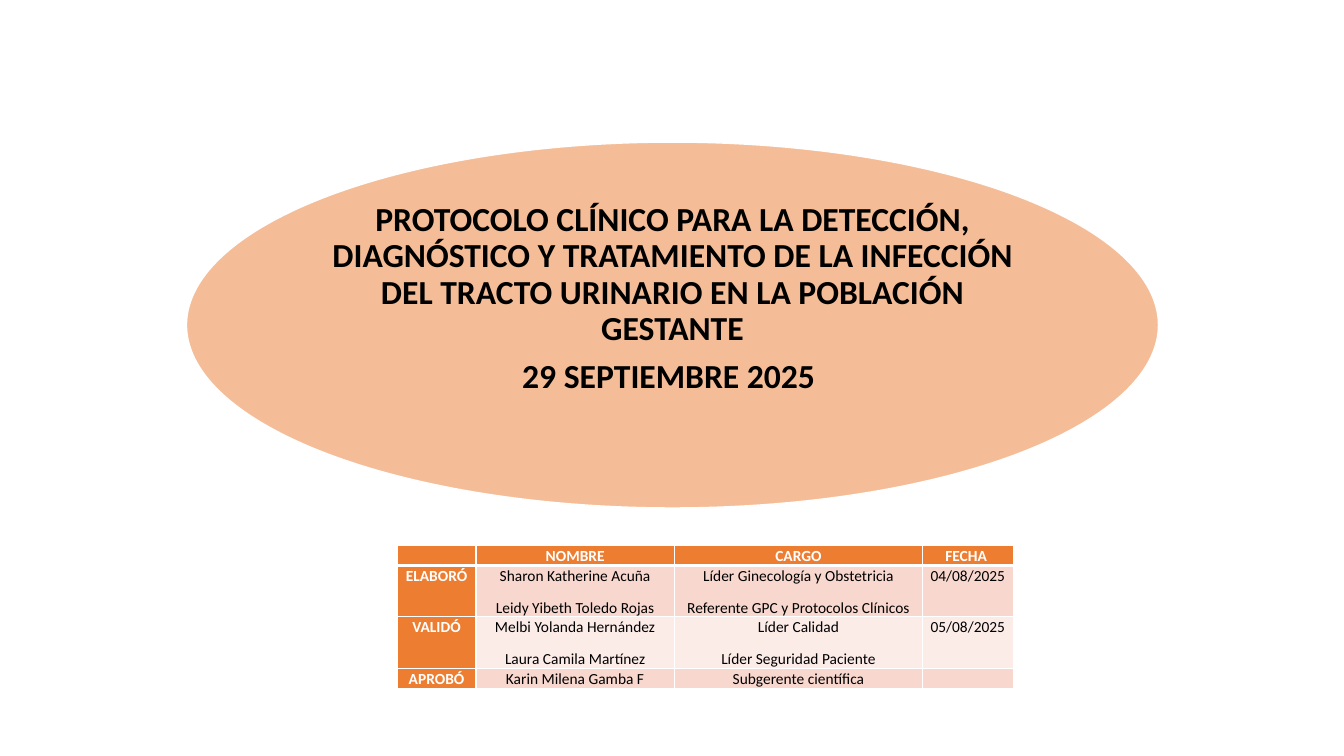
import pptx
import pptx.util
import pptx.dml.color
import pptx.enum.shapes
import pptx.enum.text
import pptx.oxml
import pptx.oxml.ns
from lxml import etree

TITLE = [
    "PROTOCOLO CLÍNICO PARA LA DETECCIÓN, DIAGNÓSTICO Y TRATAMIENTO "
    "DE LA INFECCIÓN DEL TRACTO URINARIO EN LA POBLACIÓN GESTANTE",
    "29 SEPTIEMBRE 2025 ",
]
ROWS = [
    [[], ["NOMBRE"], ["CARGO"], ["FECHA "]],
    [["ELABORÓ"],
     ["Sharon Katherine Acuña", "Leidy Yibeth Toledo Rojas"],
     ["Líder Ginecología y Obstetricia", "Referente GPC y Protocolos Clínicos"],
     ["04/08/2025"]],
    [["VALIDÓ"],
     ["Melbi Yolanda Hernández", "Laura Camila Martínez"],
     ["Líder Calidad", "Líder Seguridad Paciente"],
     ["05/08/2025"]],
    [["APROBÓ"], ["Karin Milena Gamba F"], ["Subgerente científica"], []],
]
WIDTHS = [0.78, 1.97, 2.46, 0.9]
HEIGHTS = {1: 0.2, 2: 0.51}
COLORS = {"head": "ED7D31", "odd": "F8D7CE", "even": "FCECE8",
          "white": "FFFFFF", "black": "000000"}
FACE = "Calibri"

Inches = pptx.util.Inches
Pt = pptx.util.Pt
ALIGN = pptx.enum.text.PP_ALIGN
ANCHOR = pptx.enum.text.MSO_ANCHOR


def tint(name):
    """Return the named colour."""
    return pptx.dml.color.RGBColor.from_string(COLORS[name])


def apply(item, form):
    """Set each attribute named in a dict."""
    for key, val in form.items():
        setattr(item, key, val)


def write(frame, lines, size, color, bold, para):
    """Fill a text frame with centred paragraphs."""
    for i, line in enumerate(lines):
        p = frame.paragraphs[0] if i == 0 else frame.add_paragraph()
        apply(p, {"alignment": ALIGN.CENTER, **para})
        run = p.add_run()
        run.text = line
        apply(run.font, {"size": Pt(size), "name": FACE, "bold": bold})
        run.font.color.rgb = tint(color)
    if not lines:
        end = etree.SubElement(frame.paragraphs[0]._p, pptx.oxml.ns.qn("a:endParaRPr"))
        end.set("sz", str(size * 100))


def edge(cell, base):
    """Draw white borders round a cell, with the given base width."""
    props = cell._tc.get_or_add_tcPr()
    sides = {"lnL": 1, "lnR": 1, "lnT": 1, "lnB": base}
    for i, (side, width) in enumerate(sides.items()):
        props.insert(i, pptx.oxml.parse_xml(
            f'<a:{side} {pptx.oxml.ns.nsdecls("a")} w="{Pt(width)}"><a:solidFill>'
            f'<a:srgbClr val="{COLORS["white"]}"/></a:solidFill></a:{side}>'))


def draw_title(slide):
    """Draw the ellipse and the title over it."""
    oval = slide.shapes.add_shape(
        pptx.enum.shapes.MSO_SHAPE.OVAL, *map(Inches, (1.85, 1.41, 9.64, 3.63)))
    oval.shadow.inherit = False
    oval.fill.solid()
    oval.fill.fore_color.rgb = tint("head")
    color = oval.fill._xPr.find(".//" + pptx.oxml.ns.qn("a:srgbClr"))
    etree.SubElement(color, pptx.oxml.ns.qn("a:alpha")).set("val", "50000")
    oval.line.color.rgb = tint("white")
    oval.line.width = Pt(1)
    box = slide.shapes.add_textbox(*map(Inches, (3.26, 2.01, 6.82, 1.95)))
    apply(box.text_frame, {
        "word_wrap": True, "vertical_anchor": ANCHOR.TOP, "margin_left": 0,
        "margin_right": 0, "margin_top": 0, "margin_bottom": 0})
    write(box.text_frame, TITLE, 24, "black", True,
          {"line_spacing": 0.9, "space_after": Pt(8.4)})


def draw_table(slide):
    """Draw the table of sign-offs."""
    tall = [HEIGHTS[max(map(len, row))] for row in ROWS]
    grid = slide.shapes.add_table(
        len(ROWS), len(WIDTHS),
        *map(Inches, (3.94, 5.41, sum(WIDTHS), sum(tall)))).table
    for col, width in zip(grid.columns, WIDTHS):
        col.width = Inches(width)
    for r, row in enumerate(ROWS):
        grid.rows[r].height = Inches(tall[r])
        for c, lines in enumerate(row):
            cell = grid.cell(r, c)
            head = r == 0 or c == 0
            apply(cell, {"margin_left": Inches(0.07), "margin_right": Inches(0.07),
                         "margin_top": 0, "margin_bottom": 0})
            cell.fill.solid()
            cell.fill.fore_color.rgb = tint(
                "head" if head else "odd" if r % 2 else "even")
            edge(cell, 3 if r == 0 else 1)
            write(cell.text_frame, lines, 11, "white" if head else "black", head,
                  {"line_spacing": 1.07, "space_after": Pt(8)})


def main():
    """Build and save the slide."""
    deck = pptx.Presentation()
    apply(deck, {"slide_width": Inches(13.33), "slide_height": Inches(7.5)})
    slide = deck.slides.add_slide(deck.slide_layouts[6])
    draw_title(slide)
    draw_table(slide)
    deck.save("out.pptx")


if __name__ == "__main__":
    main()
